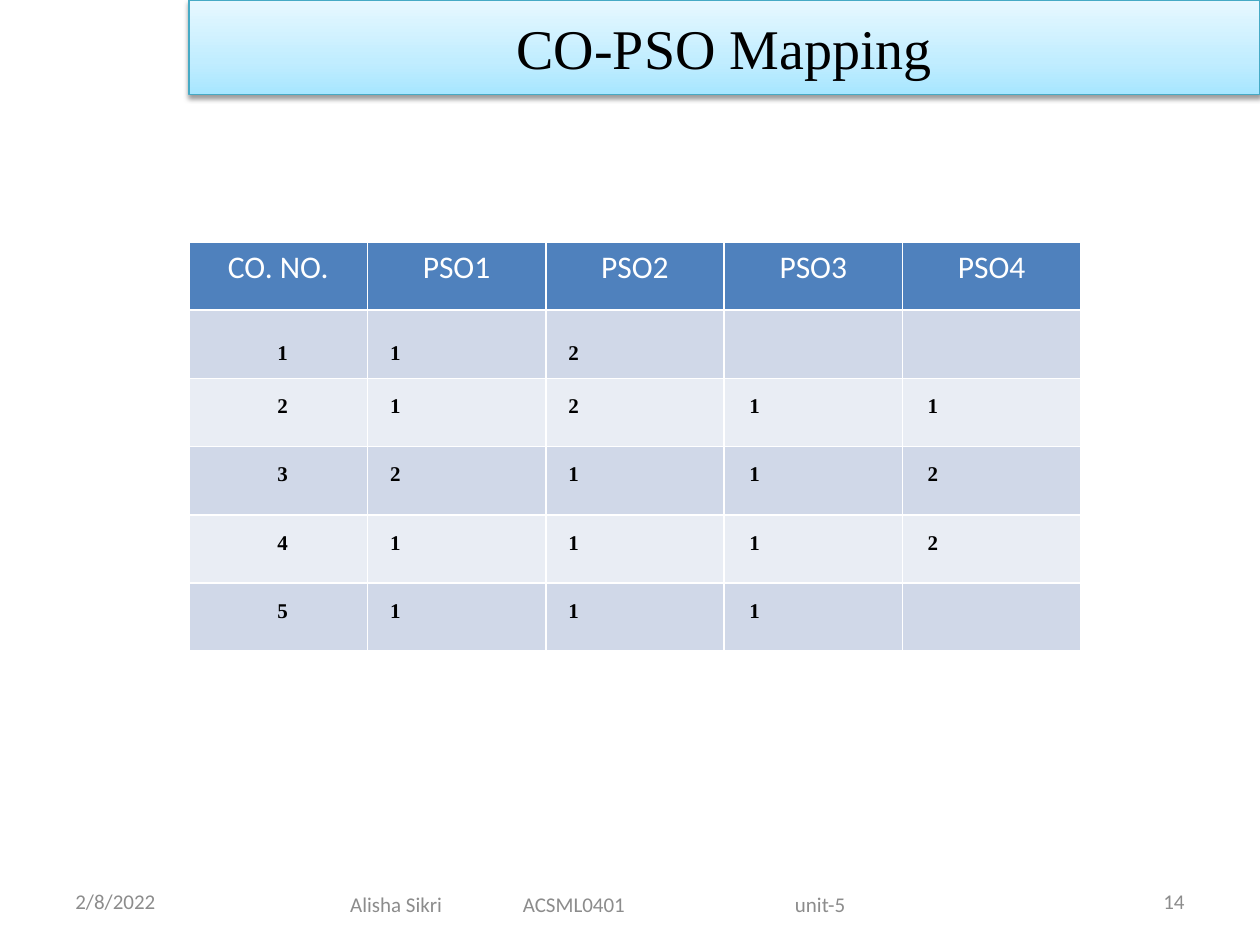
"""Build the CO-PSO Mapping slide with its title band, table and footer."""
import copy

import lxml.etree
import pptx
import pptx.dml.color
import pptx.enum.text
import pptx.oxml
import pptx.oxml.ns
import pptx.util

Inches = pptx.util.Inches
Pt = pptx.util.Pt
RGBColor = pptx.dml.color.RGBColor
ALIGN = pptx.enum.text.PP_ALIGN
MIDDLE = pptx.enum.text.MSO_ANCHOR.MIDDLE

BLACK = RGBColor(0x00, 0x00, 0x00)
WHITE = RGBColor(0xFF, 0xFF, 0xFF)
GREY = RGBColor(0x8C, 0x8C, 0x8C)
BAND_LINE = RGBColor(0x46, 0xAA, 0xC5)
BAND_STOPS = [
    (0, RGBColor(0xA7, 0xE6, 0xFF)),
    (0.35, RGBColor(0xC1, 0xED, 0xFF)),
    (1, RGBColor(0xE7, 0xF8, 0xFF)),
]
HEADER_FILL = RGBColor(0x4F, 0x81, 0xBD)
ROW_FILLS = [RGBColor(0xE9, 0xED, 0xF4), RGBColor(0xD0, 0xD8, 0xE8)]

TITLE_FONT = {"name": "Times New Roman", "size": Pt(32)}
FOOTER_FONT = {"name": "Calibri", "size": Pt(12)}
HEADER_FONT = {"name": "Calibri", "size": Pt(18), "bold": False}
VALUE_FONT = {"name": "Times New Roman", "size": Pt(12), "bold": True}

A_NS = pptx.oxml.ns.nsdecls("a")


def set_attributes(target, values):
    """Set every named value on the target."""
    for name, value in values.items():
        setattr(target, name, value)


def write_text(frame, text, font, color, align):
    """Write one formatted line and return its paragraph."""
    para = frame.paragraphs[0]
    para.alignment = align
    span = para.add_run()
    span.text = text
    set_attributes(span.font, font)
    span.font.color.rgb = color
    return para


deck = pptx.Presentation()
deck.slide_width, deck.slide_height = Inches(10), Inches(7.5)
slide = deck.slides.add_slide(deck.slide_layouts[5])

title = slide.shapes.title
set_attributes(title, {"left": Inches(1.5), "top": Inches(0),
                       "width": Inches(8.5), "height": Inches(0.75)})
set_attributes(title.text_frame, {
    "vertical_anchor": MIDDLE, "word_wrap": True,
    "auto_size": pptx.enum.text.MSO_AUTO_SIZE.NONE})
write_text(title.text_frame, "CO-PSO Mapping", TITLE_FONT, BLACK, ALIGN.CENTER)

title.fill.gradient()
title.fill.gradient_angle = 90
band = title._element.spPr
first_stop = band.find(".//" + pptx.oxml.ns.qn("a:gs"))
first_stop.addnext(copy.deepcopy(first_stop))
for stop, (position, color) in zip(title.fill.gradient_stops, BAND_STOPS):
    stop.position = position
    stop.color.rgb = color
title.line.color.rgb = BAND_LINE
title.line.width = Pt(0.75)
band.append(pptx.oxml.parse_xml(
    f'<a:effectLst {A_NS}><a:outerShdw blurRad="{Pt(3.1)}" dist="{Pt(1.6)}" '
    'dir="5400000" rotWithShape="0"><a:srgbClr val="000000">'
    '<a:alpha val="38000"/></a:srgbClr></a:outerShdw></a:effectLst>'))

footer_items = [
    ("2/8/2022", 0.5, 6.95, 2.33, 0.4, 0.1, ALIGN.LEFT, []),
    ("14", 7.17, 6.95, 2.33, 0.4, 0.1, ALIGN.RIGHT, []),
    ("Alisha Sikri\tACSML0401\tunit-5", 1.5, 7, 6.5, 0.35, 1.28, ALIGN.LEFT,
     [1.37, 3.53]),
]
for text, left, top, width, height, inset, align, tabs in footer_items:
    box = slide.shapes.add_textbox(Inches(left), Inches(top), Inches(width), Inches(height))
    set_attributes(box.text_frame, {"word_wrap": True, "vertical_anchor": MIDDLE,
                                    "margin_left": Inches(inset)})
    para = write_text(box.text_frame, text, FOOTER_FONT, GREY, align)
    if tabs:
        properties = para._p.get_or_add_pPr()
        tab_list = lxml.etree.SubElement(properties, pptx.oxml.ns.qn("a:tabLst"))
        for position in tabs:
            lxml.etree.SubElement(tab_list, pptx.oxml.ns.qn("a:tab"),
                                  pos=str(Inches(position)), algn="l")

rows = [
    ["CO. NO.", "PSO1", "PSO2", "PSO3", "PSO4"],
    ["1", "1", "2", "", ""],
    ["2", "1", "2", "1", "1"],
    ["3", "2", "1", "1", "2"],
    ["4", "1", "1", "1", "2"],
    ["5", "1", "1", "1", ""],
]
indents = [0.07, 0.18, 0.18, 0.2, 0.2]
table = slide.shapes.add_table(len(rows), len(indents), Inches(1.5), Inches(1.92),
                               Inches(7.08), Inches(3.25)).table
for row_index, row in enumerate(rows):
    for column_index, text in enumerate(row):
        cell = table.cell(row_index, column_index)
        cell.fill.solid()
        cell.fill.fore_color.rgb = ROW_FILLS[row_index % 2] if row_index else HEADER_FILL
        if row_index == 0:
            write_text(cell.text_frame, text, HEADER_FONT, WHITE, ALIGN.CENTER)
        elif text:
            set_attributes(cell, {
                "margin_left": Inches(indents[column_index]), "margin_right": 0,
                "margin_top": Pt(15.9 if row_index == 1 else 11.4), "margin_bottom": 0})
            align = ALIGN.LEFT if column_index else ALIGN.CENTER
            para = write_text(cell.text_frame, text, VALUE_FONT, BLACK, align)
            para.line_spacing = 1.15 if row_index == 1 else Pt(11.4)

deck.save("out.pptx")
